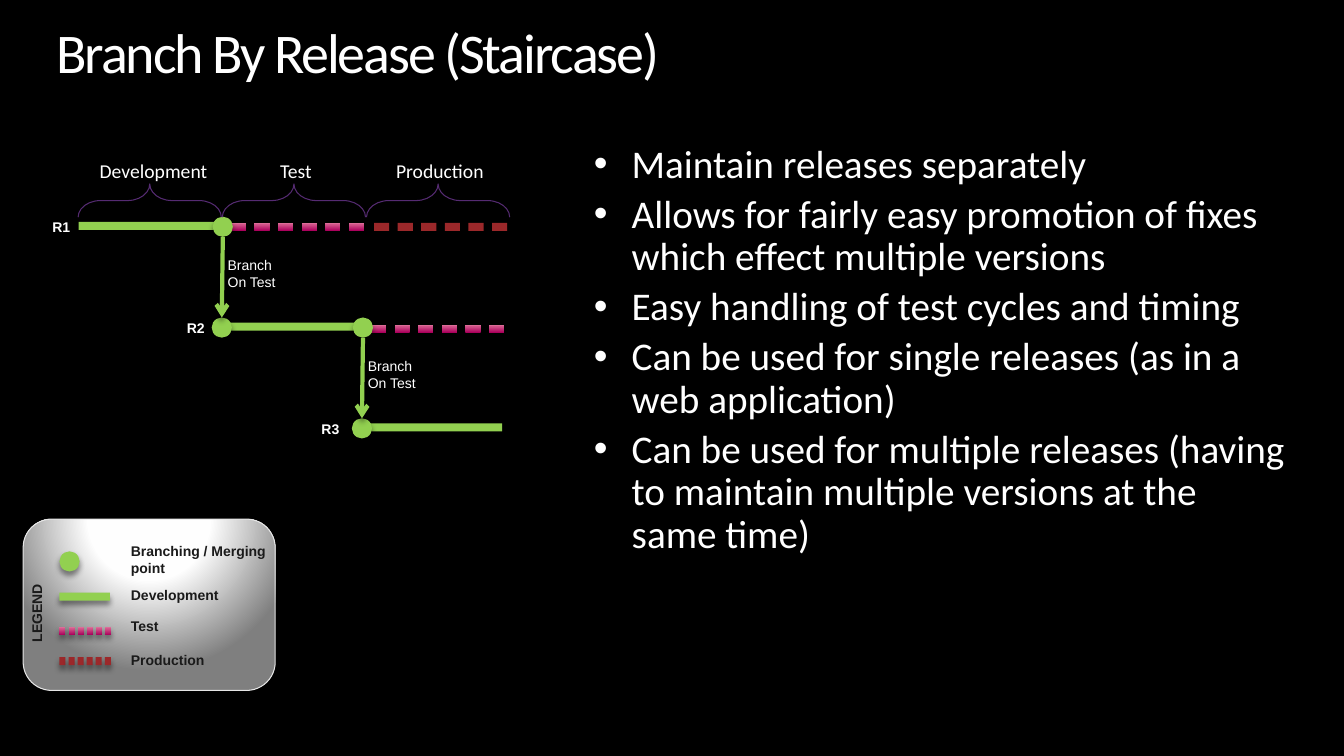
from lxml import etree
from pptx import Presentation
from pptx.dml.color import RGBColor
from pptx.enum.shapes import MSO_CONNECTOR, MSO_SHAPE
from pptx.enum.text import MSO_ANCHOR, MSO_AUTO_SIZE, PP_ALIGN
from pptx.oxml import parse_xml
from pptx.oxml.ns import nsdecls, qn
from pptx.util import Inches, Pt

COLORS = {
    "background": "000000", "text": "FFFFFF", "legend text": "1A1A1A",
    "development": "92D050", "production": "9B282A",
    "brace": "552B72", "legend edge": "E6E6E6",
}
GRADIENTS = {
    "test": ([(0, "AA005C"), (72, "D05087"), (100, "DC6D98")],
             '<a:lin ang="16200000" scaled="0"/>'),
    "legend": ([(0, "FFFFFF"), (40, "FEFEFE"), (100, "7F7F7F")],
               '<a:path path="circle"><a:fillToRect l="50000" t="-80000" '
               'r="50000" b="180000"/></a:path>'),
}
COLORS = {part: RGBColor.from_string(value) for part, value in COLORS.items()}
CELL = Inches(0.1)
SHADOW = (f'<a:outerShdw {nsdecls("a")} blurRad="50800" dist="38100" dir="5400000" '
          'rotWithShape="0"><a:srgbClr val="000000"><a:alpha val="43000"/>'
          '</a:srgbClr></a:outerShdw>')

deck = Presentation()
deck.slide_width, deck.slide_height = Inches(13.33), Inches(7.5)
slide = deck.slides.add_slide(deck.slide_layouts[1])
slide.background.fill.solid()
slide.background.fill.fore_color.rgb = COLORS["background"]


def draw(holder, preset, column, row, columns, rows, fill):
    shape = holder.add_shape(
        preset, *(round(cells * CELL) for cells in (column, row, columns, rows)))
    shape.line.fill.background()
    shape.shadow.inherit = False
    if fill in GRADIENTS:
        stops, direction = GRADIENTS[fill]
        marks = "".join(f'<a:gs pos="{share * 1000}"><a:srgbClr val="{color}"/></a:gs>'
                        for share, color in stops)
        shape.fill.background()
        properties = shape.element.spPr
        properties.replace(properties.find(qn("a:noFill")), parse_xml(
            f'<a:gradFill {nsdecls("a")} rotWithShape="1">'
            f'<a:gsLst>{marks}</a:gsLst>{direction}</a:gradFill>'))
    elif fill:
        shape.fill.solid()
        shape.fill.fore_color.rgb = COLORS[fill]
    else:
        shape.fill.background()
    if fill:
        shape.element.spPr.find(qn("a:effectLst")).append(parse_xml(SHADOW))
    return shape


def write(words, column, row, columns, rows, color="text", wrap=False, **formats):
    label = slide.shapes.add_textbox(
        *(round(cells * CELL) for cells in (column, row, columns, rows)))
    label.text_frame.word_wrap = wrap
    label.text_frame.text = words
    for paragraph in label.text_frame.paragraphs:
        for name, value in {"name": "Arial", "size": Pt(10), **formats}.items():
            setattr(paragraph.font, name, value)
            setattr(paragraph.runs[0].font, name, value)
        paragraph.runs[0].font.color.rgb = COLORS[color]
    return label


title, advice = slide.placeholders
title.text_frame.text = "Branch By Release (Staircase)"
advice.text_frame.text = "\n".join([
    "Maintain releases separately",
    "Allows for fairly easy promotion of fixes which effect multiple versions",
    "Easy handling of test cycles and timing",
    "Can be used for single releases (as in a web application)",
    "Can be used for multiple releases (having to maintain multiple versions at the same time)",
])
for holder, place, size in [(title, (5.6, 2.5, 122.2, 6.1), 40),
                            (advice, (58.9, 14.3, 68.8, 50.5), 28)]:
    for name, cells in zip(("left", "top", "width", "height"), place):
        setattr(holder, name, round(cells * CELL))
    frame_formats = {"margin_left": 0, "margin_top": 0, "margin_right": 0,
                     "margin_bottom": 0, "word_wrap": True,
                     "auto_size": MSO_AUTO_SIZE.NONE, "vertical_anchor": MSO_ANCHOR.TOP}
    for name, value in frame_formats.items():
        setattr(holder.text_frame, name, value)
    for paragraph in holder.text_frame.paragraphs:
        paragraph.alignment = PP_ALIGN.LEFT
        paragraph.line_spacing = 0.9
        for name, value in {"name": "Calibri", "size": Pt(size)}.items():
            setattr(paragraph.runs[0].font, name, value)
        paragraph.runs[0].font.color.rgb = COLORS["text"]
for properties in title.element.iter(qn("a:rPr")):
    properties.set("spc", "-150")

legend = draw(slide.shapes, MSO_SHAPE.ROUNDED_RECTANGLE, 2.3, 51.5, 25, 17, "legend")
legend.line.color.rgb = COLORS["legend edge"]
legend.line.width = Pt(0.75)
write("LEGEND", -0.3, 59.4, 7.9, 2.7, "legend text", bold=True).rotation = 270
draw(slide.shapes, MSO_SHAPE.FLOWCHART_CONNECTOR, 5.9, 54.7, 2, 2, "development")
draw(slide.shapes, MSO_SHAPE.RECTANGLE, 5.9, 58.8, 5, 0.8, "development")
for words, row, columns, rows in [("Branching / Merging\npoint", 53.3, 15.6, 4.4),
                                  ("Development", 57.7, 10.8, 2.7),
                                  ("Test", 60.8, 4.9, 2.7),
                                  ("Production", 64.1, 9.4, 2.7)]:
    write(words, 12, row, columns, rows, "legend text", bold=True)

for phase, column, row, dash, pitch in [("test", 5.9, 62.2, 0.6, 0.9),
                                        ("production", 5.9, 65.2, 0.6, 0.9),
                                        ("test", 36.8, 32.2, 1.5, 2.34),
                                        ("test", 22.9, 22.1, 1.5, 2.34),
                                        ("production", 37.1, 22.1, 1.5, 2.34)]:
    dashes = slide.shapes.add_group_shape()
    for index in range(6):
        draw(dashes.shapes, MSO_SHAPE.RECTANGLE, column + index * pitch, row, dash, 0.8, phase)

STEP_COLUMNS, STEP_ROWS = 13.9, 10
for step in range(3):
    column, row = 7.8 + step * STEP_COLUMNS, 22 + step * STEP_ROWS
    draw(slide.shapes, MSO_SHAPE.RECTANGLE, column, row, 14.2, 0.8, "development")
    write(f"R{step + 1}", 4.2 + step * 13.35, row - 0.8, 3.8, 2.7, bold=True)

for step in range(2):
    column, row = 21.1 + step * STEP_COLUMNS, 21.5 + step * STEP_ROWS
    for shift, drop in [(0, 0), (-0.1, STEP_ROWS)]:
        draw(slide.shapes, MSO_SHAPE.FLOWCHART_CONNECTOR,
             column + shift, row + drop, 2, 2, "development")
    branch = slide.shapes.add_connector(MSO_CONNECTOR.STRAIGHT, *(
        round(cells * CELL) for cells in (column + 1, row + 2, column + 0.9, row + STEP_ROWS)))
    branch.line.color.rgb = COLORS["development"]
    branch.line.width = Pt(3)
    etree.SubElement(branch.line._get_or_add_ln(), qn("a:tailEnd"), type="arrow")
    etree.SubElement(branch.element.spPr, qn("a:effectLst")).append(parse_xml(SHADOW))
    write("Branch\nOn Test", column + 0.5, row + 3.5, 7.1, 4.4, wrap=True)

for index, (phase, column, columns) in enumerate([("Development", 8.9, 12.8),
                                                  ("Test", 26.8, 5.2),
                                                  ("Production", 38.3, 10.8)]):
    brace = draw(slide.shapes, MSO_SHAPE.LEFT_BRACE, 13.2 + index * 14.3, 12.8, 3.3, 14.2, None)
    brace.rotation = 90
    brace.adjustments[0] = 0.67
    brace.line.color.rgb = COLORS["brace"]
    brace.line.width = Pt(0.75)
    write(phase, column, 15.3, columns, 3.4, name="Calibri", size=Pt(14))

deck.save("out.pptx")
